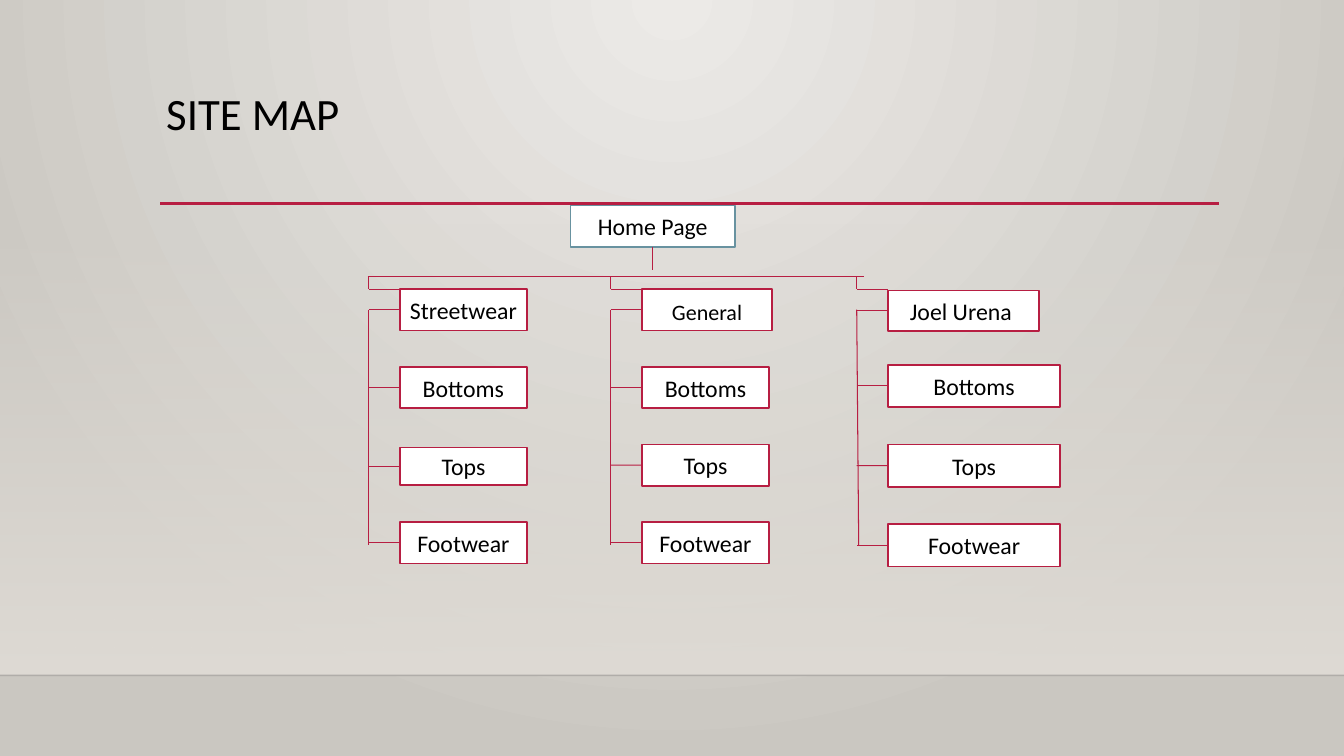
"""Build the site map slide: a home page branching into three clothing sections."""
from lxml import etree
from pptx import Presentation
from pptx import util as u
from pptx.dml.color import RGBColor
from pptx.enum import shapes, text
from pptx.oxml.ns import qn

COLORS = {
    "glow": "ECEAE7", "edge": "CAC7C1", "wall": "DFDBD5", "floor": "000001",
    "red": "B71E42", "blue": "6892A0", "white": "FFFFFF", "black": "000000",
}
RGB = {name: RGBColor.from_string(value) for name, value in COLORS.items()}

deck = Presentation()
deck.slide_width, deck.slide_height = u.Cm(33.87), u.Cm(19.05)
slide = deck.slides.add_slide(deck.slide_layouts[6])


def add_line(x1, y1, x2, y2, color="red", width=0.75):
    line = slide.shapes.add_connector(
        shapes.MSO_CONNECTOR.STRAIGHT, u.Cm(x1), u.Cm(y1), u.Cm(x2), u.Cm(y2))
    line.line.color.rgb = RGB[color]
    line.line.width = u.Pt(width)
    etree.SubElement(line._element.spPr, qn("a:effectLst"))
    return line


def add_page(label, left, top, width, height, outline="red", size=17, spacing=1.0):
    page = slide.shapes.add_shape(
        shapes.MSO_SHAPE.RECTANGLE, u.Cm(left), u.Cm(top), u.Cm(width), u.Cm(height))
    page.shadow.inherit = False
    page.fill.solid()
    page.fill.fore_color.rgb = RGB["white"]
    page.line.color.rgb = RGB[outline]
    page.line.width = u.Pt(1.25)
    frame = page.text_frame
    frame.margin_left = frame.margin_right = 0
    frame.vertical_anchor = text.MSO_ANCHOR.MIDDLE
    paragraph = frame.paragraphs[0]
    paragraph.alignment = text.PP_ALIGN.CENTER
    paragraph.line_spacing = spacing
    run = paragraph.add_run()
    run.text = label
    run.font.name, run.font.size = "Calibri", u.Pt(size)
    run.font.color.rgb = RGB["black"]
    return page


backdrop = slide.background.fill
backdrop.gradient()
for stop, name in zip(backdrop.gradient_stops, ("glow", "edge")):
    stop.color.rgb = RGB[name]
gradient = slide._element.find(".//" + qn("a:gradFill"))
gradient.remove(gradient.find(qn("a:lin")))
circle = etree.SubElement(gradient, qn("a:path"), {"path": "circle"})
etree.SubElement(circle, qn("a:fillToRect"),
                 {"l": "43000", "t": "0", "r": "43000", "b": "100000"})

wall = slide.shapes.add_shape(
    shapes.MSO_SHAPE.RECTANGLE, 0, u.Cm(5.61), deck.slide_width, u.Cm(11.41))
wall.shadow.inherit = False
wall.line.fill.background()
wall.fill.gradient()
wall.fill.gradient_angle = 270
for stop in wall.fill.gradient_stops:
    stop.color.rgb = RGB["wall"]
clear_color = wall._element.spPr.find(".//" + qn("a:srgbClr"))
etree.SubElement(clear_color, qn("a:alpha"), {"val": "0"})

floor = add_line(0, 17.02, 33.87, 17.02, "floor", 1)
floor_color = floor._element.spPr.find(".//" + qn("a:srgbClr"))
etree.SubElement(floor_color, qn("a:alpha"), {"val": "20000"})
add_line(4.04, 5.13, 30.73, 5.13, width=2.5)

title = slide.shapes.add_textbox(u.Cm(3.94), u.Cm(2.18), u.Cm(26.67), u.Cm(2.92))
title.text_frame.word_wrap = True
heading = title.text_frame.paragraphs[0]
heading.line_spacing = 0.9
heading_run = heading.add_run()
heading_run.text = "SITE MAP"
heading_run.font.name, heading_run.font.size = "Calibri", u.Pt(32)
heading_run.font.color.rgb = RGB["black"]

home = add_page("Home Page", 14.38, 5.18, 4.14, 1.04, outline="blue")
add_line(16.45, 6.22, 16.45, 6.81).begin_connect(home, 2)
BRANCH_Y = 6.96
add_line(9.27, BRANCH_Y, 21.77, BRANCH_Y)

STUB = 0.79
SPINE_TOP, SPINE_BOTTOM = 7.8, 13.74
sections = [
    (10.08, 0, [("Streetwear", 7.29, 3.2, 1.04), ("Bottoms", 9.25, 3.2, 1.04),
                ("Tops", 11.28, 3.2, 0.94), ("Footwear", 13.16, 3.2, 1.04)]),
    (16.18, 0, [("General", 7.29, 3.28, 1.04), ("Bottoms", 9.25, 3.2, 1.04),
                ("Tops", 11.2, 3.2, 1.04), ("Footwear", 13.16, 3.2, 1.04)]),
    (22.38, 0.05, [("Joel Urena ", 7.32, 3.81, 1.02), ("Bottoms", 9.19, 4.34, 1.07),
                   ("Tops", 11.2, 4.34, 1.07), ("Footwear", 13.21, 4.34, 1.07)]),
]
for left, slant, pages in sections:
    spine = left - STUB
    add_line(spine, BRANCH_Y, spine, 7.29)
    add_line(left, 7.29, spine, 7.29)
    add_line(spine, SPINE_TOP, spine + slant, SPINE_BOTTOM)
    for label, top, width, height in pages:
        size, spacing = (15.7, 1.1) if label == "General" else (17, 1.0)
        page = add_page(label, left, top, width, height, size=size, spacing=spacing)
        middle = top + height / 2
        add_line(left, middle, spine, middle).begin_connect(page, 1)

deck.save("out.pptx")
